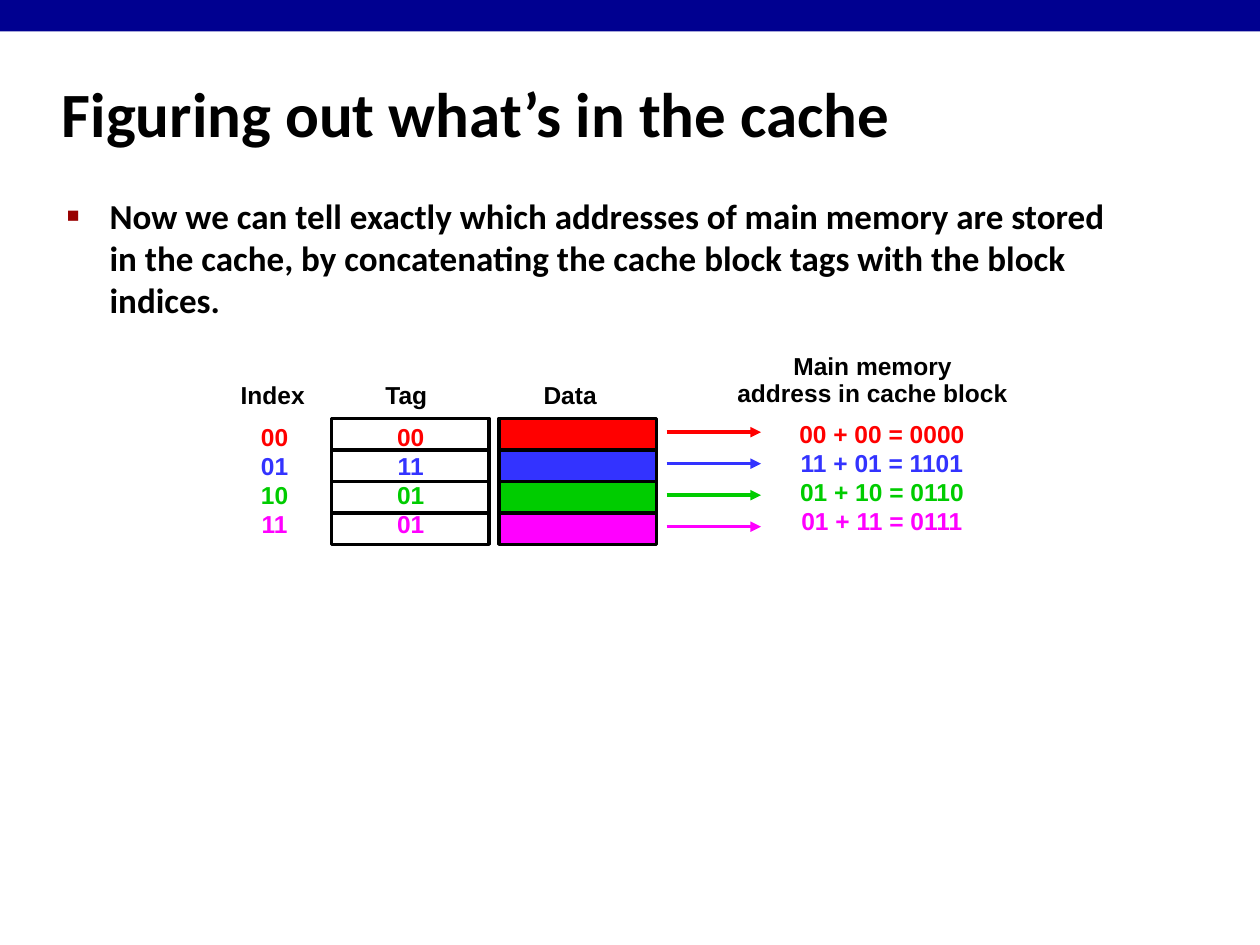
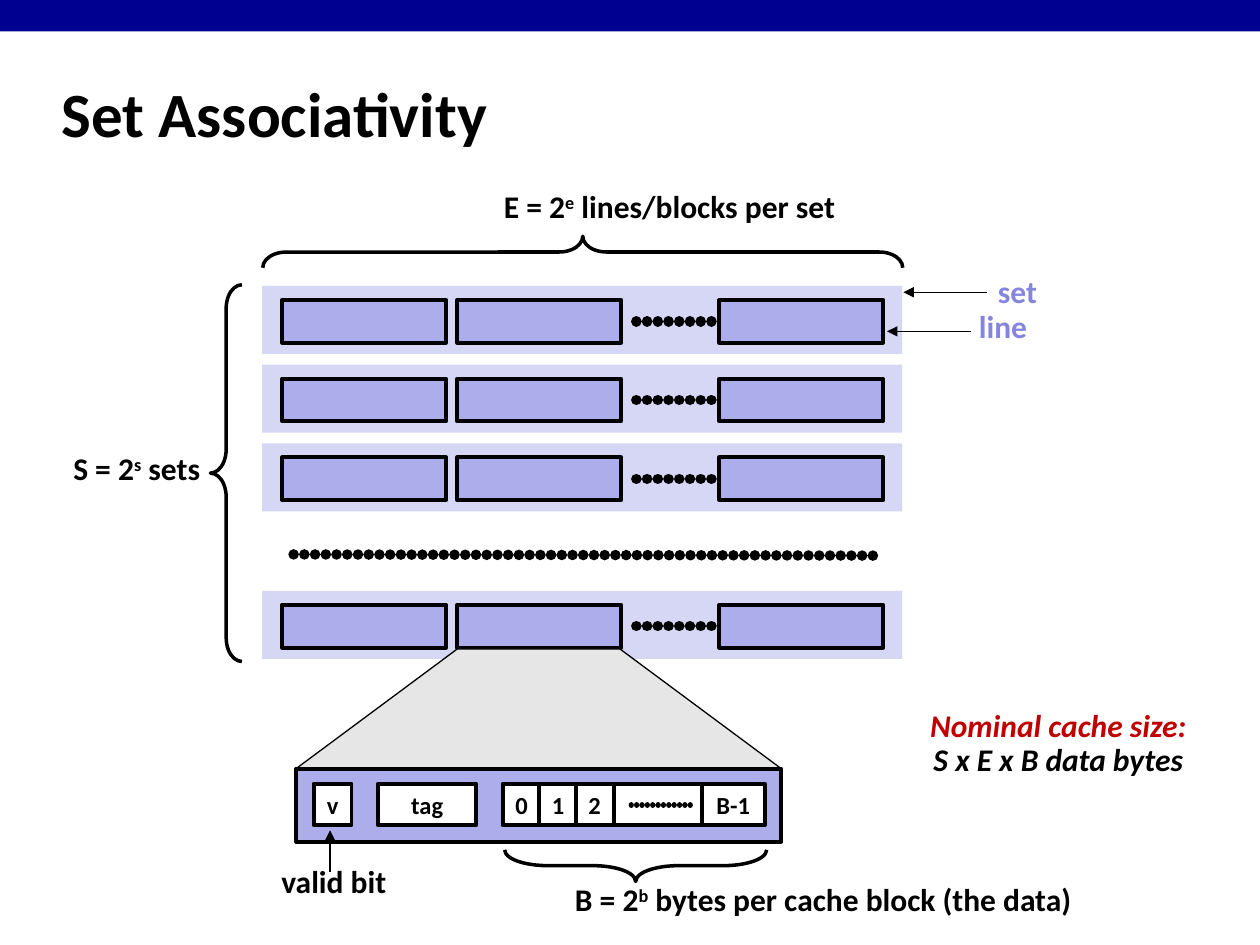
from lxml import etree
from pptx import Presentation
from pptx.dml.color import RGBColor
from pptx.enum.shapes import MSO_CONNECTOR, MSO_SHAPE
from pptx.enum.text import MSO_ANCHOR, MSO_AUTO_SIZE, PP_ALIGN
from pptx.oxml.ns import qn
from pptx.util import Inches, Pt

RECTANGLE, BRACE = MSO_SHAPE.RECTANGLE, MSO_SHAPE.LEFT_BRACE
STRAIGHT = MSO_CONNECTOR.STRAIGHT
TOP, MIDDLE = MSO_ANCHOR.TOP, MSO_ANCHOR.MIDDLE
LEFT, CENTER = PP_ALIGN.LEFT, PP_ALIGN.CENTER
NO_AUTOFIT = MSO_AUTO_SIZE.NONE
TITLE_AND_CONTENT, TITLE_ONLY = 1, 5
LEFT_SIDE = 1

BLACK, WHITE = "000000", "FFFFFF"
BAND, BULLET, ACCENT = "000090", "990000", "C00000"
SET_FILL, LINE_FILL, LABEL, ZOOM_FILL = "D6D6F5", "ADADEB", "8585E0", "E6E6E6"
ROW_COLORS = ["FF0000", "3333FF", "00CC00", "FF00FF"]


def rgb(color):
    return RGBColor.from_string(color)


def box(*lengths):
    return [Inches(length) for length in lengths]


def write(shape, lines, font="Calibri", size=18, colors=(BLACK,), italic=False,
          align=CENTER, anchor=TOP, spacing=0.9, gap=0, insets=(0.1, 0.05), wrap=False):
    """Fill a shape with lines; text between ^ marks is superscript."""
    frame = shape.text_frame
    frame.auto_size = NO_AUTOFIT
    frame.word_wrap, frame.vertical_anchor = wrap, anchor
    frame.margin_left = frame.margin_right = Inches(insets[0])
    frame.margin_top = frame.margin_bottom = Inches(insets[1])
    for index, line in enumerate(lines):
        paragraph = frame.add_paragraph() if index else frame.paragraphs[0]
        paragraph.alignment, paragraph.line_spacing = align, spacing
        paragraph.space_before = Pt(gap if index else 0)
        for part, text in enumerate(line.split("^")):
            run = paragraph.add_run()
            run.text = text
            run.font.name, run.font.size = font, Pt(size)
            run.font.bold, run.font.italic = True, italic
            run.font.color.rgb = rgb(colors[index % len(colors)])
            if part % 2:
                run.font._element.set("baseline", "30000")


def add_text(slide, at, *lines, **style):
    write(slide.shapes.add_textbox(*box(*at)), lines, **style)


def style_shape(shape, fill, line_width, line=BLACK):
    shape.shadow.inherit = False
    if fill:
        shape.fill.solid()
        shape.fill.fore_color.rgb = rgb(fill)
    else:
        shape.fill.background()
    if line_width:
        shape.line.color.rgb = rgb(line)
        shape.line.width = Pt(line_width)
    else:
        shape.line.fill.background()


def add_rectangle(slide, at, fill=None, line_width=2.25, text=None):
    shape = slide.shapes.add_shape(RECTANGLE, *box(*at))
    style_shape(shape, fill, line_width)
    if text:
        write(shape, [text], size=14, anchor=MIDDLE, spacing=1, insets=(0, 0))
    return shape


def add_brace(slide, at, curve, rotation=0):
    shape = slide.shapes.add_shape(BRACE, *box(*at))
    style_shape(shape, None, 2)
    shape.adjustments[0] = curve
    shape.rotation = rotation


def add_line(slide, start, end, width, color=BLACK, arrow=False, dotted=False):
    connector = slide.shapes.add_connector(STRAIGHT, *box(*start, *end))
    connector.line.color.rgb = rgb(color)
    connector.line.width = Pt(width)
    outline = connector.line._get_or_add_ln()
    if dotted:
        outline.set("cap", "rnd")
        dash = etree.SubElement(outline, qn("a:custDash"))
        etree.SubElement(dash, qn("a:ds"), d="100000", sp="2000")
    if arrow:
        etree.SubElement(outline, qn("a:tailEnd"), type="triangle")
    etree.SubElement(connector._element.spPr, qn("a:effectLst"))
    return connector


def add_slide(presentation, layout, title):
    slide = presentation.slides.add_slide(presentation.slide_layouts[layout])
    add_rectangle(slide, (0, 0, 10, 0.25), BAND, line_width=0)
    shape = slide.shapes.title
    shape.left, shape.top, shape.width, shape.height = box(0.39, 0.48, 8.3, 0.83)
    write(shape, [title], size=36, align=LEFT, anchor=MIDDLE, spacing=1, wrap=True)
    return slide


def add_bullet(slide, text):
    body = slide.placeholders[1]
    body.left, body.top, body.width, body.height = box(0.43, 1.49, 8.64, 5.44)
    properties = body.text_frame.paragraphs[0]._p.get_or_add_pPr()
    properties.set("marL", str(Inches(0.34)))
    properties.set("indent", str(-Inches(0.34)))
    color = etree.SubElement(properties, qn("a:buClr"))
    etree.SubElement(color, qn("a:srgbClr"), val=BULLET)
    etree.SubElement(properties, qn("a:buSzPct"), val="60000")
    etree.SubElement(properties, qn("a:buChar"), char="■")
    write(body, [text], size=20, align=LEFT, spacing=1, wrap=True)


def build_cache_contents(presentation):
    slide = add_slide(presentation, TITLE_AND_CONTENT, "Figuring out what’s in the cache")
    add_bullet(slide, "Now we can tell exactly which addresses of main memory are stored in "
                      "the cache, by concatenating the cache block tags with the block indices.")

    # Tag and data cells, with an arrow from each row
    top, row_height, cell_width = 3.32, 0.25, 1.25
    for row, color in enumerate(ROW_COLORS):
        y = top + row * row_height
        add_rectangle(slide, (2.63, y, cell_width, row_height), line_width=2)
        add_rectangle(slide, (3.96, y, cell_width, row_height), color, line_width=2)
        add_line(slide, (5.29, y + 0.11), (6.04, y + 0.11), 2, color, arrow=True)

    # Headings and coloured columns of values
    style = dict(font="Arial", size=14, anchor=MIDDLE, insets=(0.11, 0.06))
    for heading, left, width in [("Index", 1.8, 0.73), ("Tag", 2.94, 0.57), ("Data", 4.2, 0.65)]:
        add_text(slide, (left, 2.99, width, 0.32), heading, **style)
    add_text(slide, (5.74, 2.76, 2.37, 0.53), "Main memory", "address in cache block", **style)
    indices, tags = ["00", "01", "10", "11"], ["00", "11", "01", "01"]
    addresses = [f"{tag} + {index} = {tag}{index}" for tag, index in zip(tags, indices)]
    for values, left, y, width in [(indices, 1.96, top, 0.44), (tags, 3.04, top, 0.44),
                                   (addresses, 6.23, 3.3, 1.54)]:
        add_text(slide, (left, y, width, 1.01), *values, colors=ROW_COLORS, gap=1.4, **style)


def add_cache_set(slide, top):
    add_rectangle(slide, (2.08, top, 5.08, 0.54), SET_FILL, line_width=0)
    cache_lines = [add_rectangle(slide, (left, top + 0.11, 1.3, 0.34), LINE_FILL)
                   for left in (2.24, 3.63, 5.71)]
    middle = top + 0.28
    dots = add_line(slide, (5.05, middle), (5.71, middle), 6, dotted=True)
    dots.end_connect(cache_lines[-1], LEFT_SIDE)


def add_block_detail(slide):
    # Zoom from one line down to its block
    corners = [(2.35, 6.1), (3.63, 5.15), (4.92, 5.15), (6.2, 6.1)]
    points = [box(*corner) for corner in corners]
    builder = slide.shapes.build_freeform(*points[0])
    builder.add_line_segments(points[1:], close=True)
    style_shape(builder.convert_to_shape(), ZOOM_FILL, 0.75)
    add_rectangle(slide, (2.35, 6.1, 3.85, 0.58), LINE_FILL)

    # Fields of the block
    fields = [("v", 2.49, 0.3), ("tag", 3, 0.78), ("0", 3.99, 0.3), ("1", 4.28, 0.3),
              ("2", 4.57, 0.3), ("B-1", 5.57, 0.5), (None, 4.87, 0.7)]
    for text, left, width in fields:
        add_rectangle(slide, (left, 6.22, width, 0.33), WHITE, text=text)
    add_line(slide, (5.01, 6.39), (5.51, 6.39), 3, dotted=True)


def build_set_associativity(presentation):
    slide = add_slide(presentation, TITLE_ONLY, "Set Associativity")

    # Sets of cache lines
    for top in [2.27 + 0.625 * row for row in range(3)] + [4.69]:
        add_cache_set(slide, top)
    add_line(slide, (2.33, 4.4), (7, 4.41), 6, dotted=True)
    add_block_detail(slide)

    # Braces and their captions
    add_brace(slide, (4.5, -0.54, 0.25, 5.08), 0.75, rotation=90)
    add_brace(slide, (1.67, 2.26, 0.25, 2.99), 0.75)
    add_brace(slide, (4.92, 5.83, 0.25, 2.08), 1.36, rotation=270)
    add_text(slide, (3.9, 1.47, 2.83, 0.37), "E = 2^e^ lines/blocks per set")
    add_text(slide, (0.48, 3.55, 1.21, 0.37), "S = 2^s^ sets")
    add_text(slide, (4.46, 6.97, 4.15, 0.37), "B = 2^b^ bytes per cache block (the data)")

    # Labels with arrows
    add_text(slide, (7.82, 2.14, 0.51, 0.37), "set", colors=[LABEL])
    add_text(slide, (7.67, 2.42, 0.58, 0.37), "line", colors=[LABEL])
    add_text(slide, (2.13, 6.83, 1.04, 0.37), "valid bit")
    for start, end in [((7.83, 2.32), (7.17, 2.32)), ((7.71, 2.63), (7.04, 2.63)),
                       ((2.62, 6.92), (2.62, 6.59))]:
        add_line(slide, start, end, 0.75, arrow=True)
    add_text(slide, (7.28, 5.59, 2.24, 0.64), "Nominal cache size:", "S x E x B data bytes",
             colors=[ACCENT, BLACK], italic=True)


def main():
    presentation = Presentation()
    presentation.slide_width, presentation.slide_height = box(10, 7.5)
    build_cache_contents(presentation)
    build_set_associativity(presentation)
    presentation.save("out.pptx")


if __name__ == "__main__":
    main()
